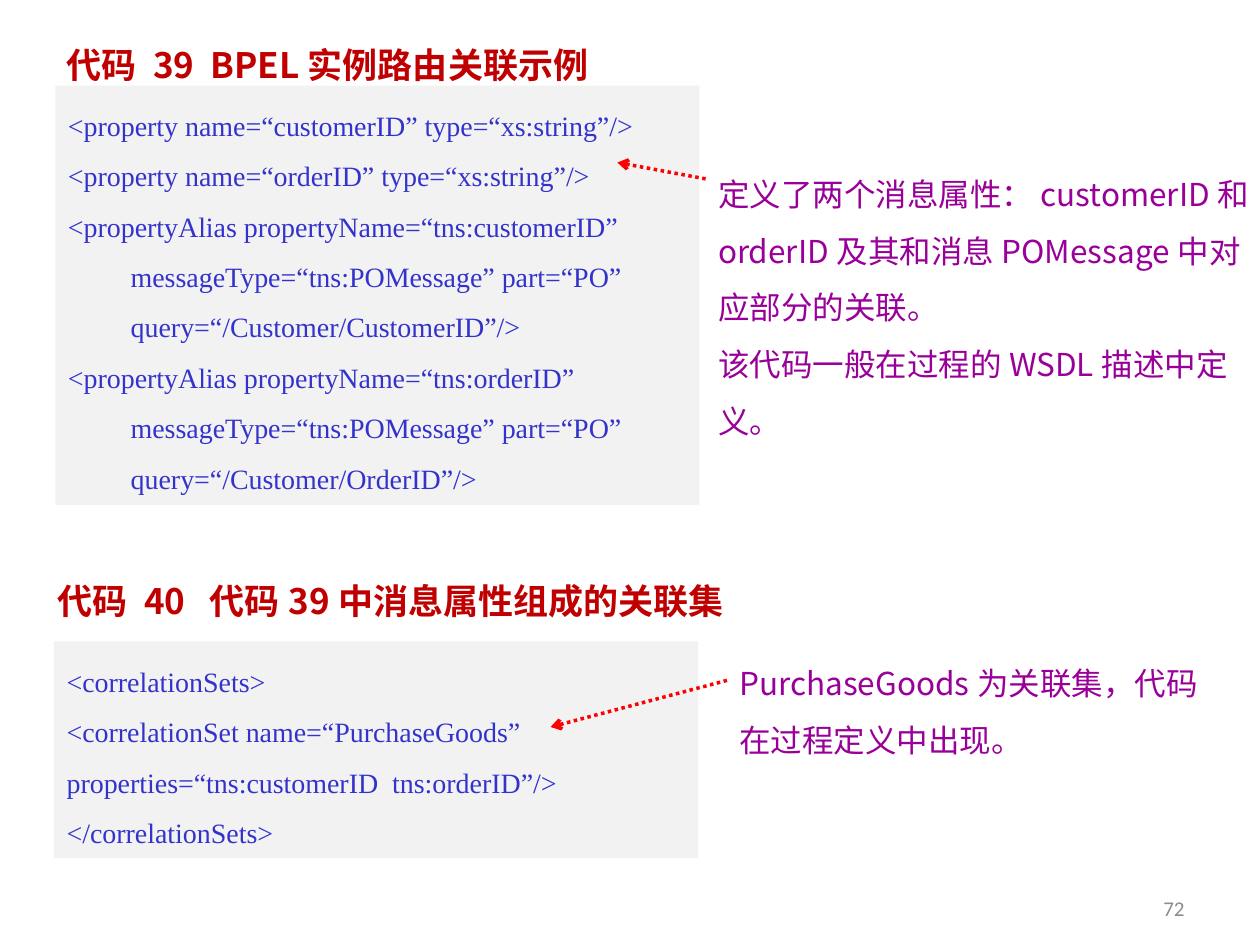
from lxml import etree
from pptx import Presentation
from pptx.dml.color import RGBColor
from pptx.enum.dml import MSO_LINE
from pptx.enum.shapes import MSO_CONNECTOR, MSO_SHAPE
from pptx.enum.text import MSO_ANCHOR, MSO_AUTO_SIZE, PP_ALIGN
from pptx.oxml.ns import qn
from pptx.util import Inches, Pt

RECT = MSO_SHAPE.RECTANGLE
LINE = MSO_CONNECTOR.STRAIGHT
DOT = MSO_LINE.ROUND_DOT
GROW, FIXED = MSO_AUTO_SIZE.SHAPE_TO_FIT_TEXT, MSO_AUTO_SIZE.NONE
TOP, MIDDLE = MSO_ANCHOR.TOP, MSO_ANCHOR.MIDDLE
LEFT, RIGHT = PP_ALIGN.LEFT, PP_ALIGN.RIGHT

SANS = "Noto Sans CJK SC"
THEME = {
    "panel": "F2F2F2",
    "arrow": "FF0000",
    "title": {"name": SANS, "size": 20, "color": "C00000", "bold": True},
    "code": {"name": "Times New Roman", "size": 16, "color": "3333CC", "bold": False},
    "note": {"name": SANS, "size": 18, "color": "990099", "bold": False},
    "page": {"name": "Calibri", "size": 12, "color": "8C8C8C", "bold": False},
}
BODY = {"frame": {"auto_size": GROW, "vertical_anchor": TOP},
        "para": {"line_spacing": 1.5, "alignment": LEFT}}
FOOT = {"frame": {"auto_size": FIXED, "vertical_anchor": MIDDLE},
        "para": {"alignment": RIGHT}}

TEXTS = [
    ("code", (0.44, 0.68, 5.11, 3.33), [
        "<property name=“customerID” type=“xs:string”/>",
        "<property name=“orderID” type=“xs:string”/>",
        "<propertyAlias propertyName=“tns:customerID”",
        "         messageType=“tns:POMessage” part=“PO”",
        "         query=“/Customer/CustomerID”/>",
        "<propertyAlias propertyName=“tns:orderID”",
        "         messageType=“tns:POMessage” part=“PO”",
        "         query=“/Customer/OrderID”/>",
    ]),
    ("title", (0.43, 0.13, 5.12, 0.55), ["代码 39  BPEL实例路由关联示例"]),
    ("note", (5.6, 1.19, 4.45, 1.87), [
        "定义了两个消息属性：customerID和orderID及其和消息POMessage中对应部分的关联。",
        "该代码一般在过程的WSDL描述中定义。",
    ]),
    ("title", (0.36, 4.38, 5.54, 0.55), ["代码 40  代码39中消息属性组成的关联集"]),
    ("code", (0.43, 5.09, 5.11, 1.72), [
        "<correlationSets>",
        "<correlationSet name=“PurchaseGoods”",
        "properties=“tns:customerID  tns:orderID”/>",
        "</correlationSets>",
    ]),
    ("note", (5.77, 5.07, 4.02, 0.95), ["PurchaseGoods为关联集，代码在过程定义中出现。"]),
    ("page", (7.17, 7.06, 2.33, 0.29), ["72"]),
]
ARROWS = [(5.6, 1.42, 4.9, 1.29), (5.77, 5.4, 4.37, 5.77)]


def apply(item, values):
    for key, value in values.items():
        setattr(item, key, value)


def add_run(para, text, look):
    run = para.add_run()
    run.text = text
    apply(run.font, {"name": look["name"], "size": Pt(look["size"]), "bold": look["bold"]})
    run.font.color.rgb = RGBColor.from_string(look["color"])
    east = etree.SubElement(run._r.get_or_add_rPr(), qn("a:ea"))
    east.set("typeface", look["name"])


def add_text(slide, kind, place, lines):
    box = [Inches(v) for v in place]
    if kind == "code":
        shape = slide.shapes.add_shape(RECT, *box)
        shape.shadow.inherit = False
        shape.fill.solid()
        shape.fill.fore_color.rgb = RGBColor.from_string(THEME["panel"])
        shape.line.fill.background()
    else:
        shape = slide.shapes.add_textbox(*box)
    form = FOOT if kind == "page" else BODY
    frame = shape.text_frame
    apply(frame, {"word_wrap": True, **form["frame"]})
    for i, text in enumerate(lines):
        para = frame.add_paragraph() if i else frame.paragraphs[0]
        apply(para, form["para"])
        add_run(para, text, THEME[kind])


def add_arrow(slide, ends):
    link = slide.shapes.add_connector(LINE, *[Inches(v) for v in ends])
    link.line.color.rgb = RGBColor.from_string(THEME["arrow"])
    apply(link.line, {"width": Pt(2), "dash_style": DOT})
    etree.SubElement(link.line._get_or_add_ln(), qn("a:tailEnd")).set("type", "arrow")
    etree.SubElement(link._element.spPr, qn("a:effectLst"))


def main():
    deck = Presentation()
    apply(deck, {"slide_width": Inches(10), "slide_height": Inches(7.5)})
    slide = deck.slides.add_slide(deck.slide_layouts[6])
    for kind, place, lines in TEXTS:
        add_text(slide, kind, place, lines)
    for ends in ARROWS:
        add_arrow(slide, ends)
    deck.save("out.pptx")


if __name__ == "__main__":
    main()
